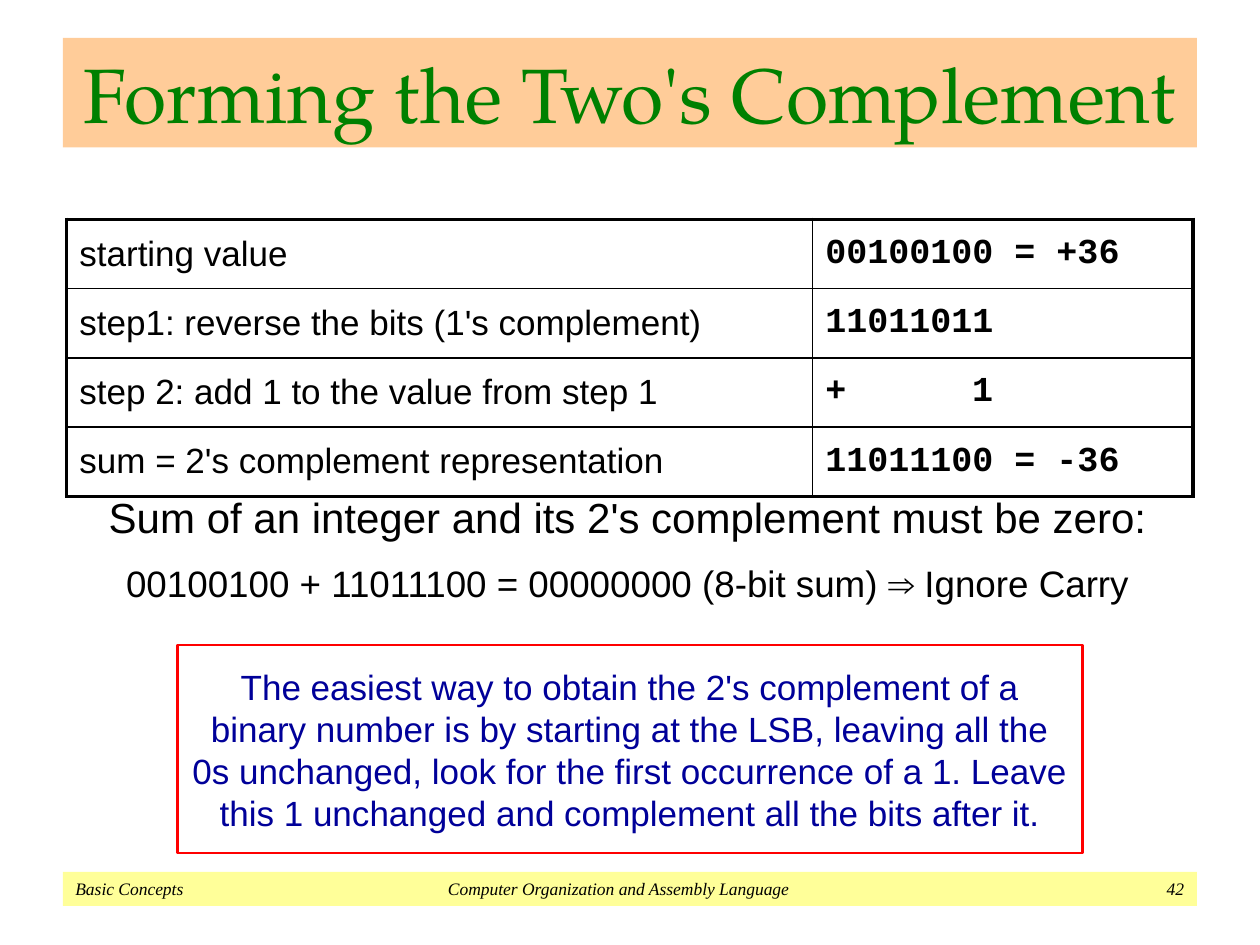
from dataclasses import dataclass

import lxml.etree
import pptx
import pptx.dml.color
import pptx.enum.shapes
import pptx.enum.text
import pptx.oxml.ns
import pptx.util

COLUMNS, ROWS = 100, 75
SLIDE_WIDTH, SLIDE_HEIGHT = pptx.util.Inches(10), pptx.util.Inches(7.5)
BLACK = "000000"
ALIGN = pptx.enum.text.PP_ALIGN
qn = pptx.oxml.ns.qn


@dataclass
class Area:
    column: float
    row: float
    columns: float
    rows: float

    def box(self) -> tuple[int, int, int, int]:
        return (across(self.column), down(self.row), across(self.columns), down(self.rows))


@dataclass
class Line:
    text: str
    size: float
    font: str = "Arial"
    color: str = BLACK
    align: ALIGN = ALIGN.CENTER
    bold: bool = False
    italic: bool = False
    space_before: float = 0
    tabs: tuple[tuple[float, str], ...] = ()


@dataclass
class Panel:
    area: Area
    lines: list[Line]
    fill: str | None = None
    outline: str | None = None
    inset: float = 0.5
    anchor: pptx.enum.text.MSO_ANCHOR = pptx.enum.text.MSO_ANCHOR.MIDDLE


@dataclass
class Step:
    label: str
    value: str


def across(columns: float) -> int:
    return round(SLIDE_WIDTH * columns / COLUMNS)


def down(rows: float) -> int:
    return round(SLIDE_HEIGHT * rows / ROWS)


def rgb(value: str) -> pptx.dml.color.RGBColor:
    return pptx.dml.color.RGBColor.from_string(value)


def write_line(paragraph, line: Line) -> None:
    paragraph.text = line.text
    paragraph.alignment = line.align
    if line.space_before:
        paragraph.space_before = pptx.util.Pt(line.space_before)
    if line.tabs:
        properties = paragraph._p.get_or_add_pPr()
        tab_list = lxml.etree.SubElement(properties, qn("a:tabLst"))
        for column, align in line.tabs:
            lxml.etree.SubElement(tab_list, qn("a:tab"), pos=str(across(column)), algn=align)
    font = paragraph.font
    font.name = line.font
    font.size = pptx.util.Pt(line.size)
    font.bold = line.bold
    font.italic = line.italic
    font.color.rgb = rgb(line.color)


def draw_panel(slide, panel: Panel) -> None:
    if panel.fill or panel.outline:
        rectangle = pptx.enum.shapes.MSO_SHAPE.RECTANGLE
        shape = slide.shapes.add_shape(rectangle, *panel.area.box())
        shape.shadow.inherit = False
        if panel.fill:
            shape.fill.solid()
            shape.fill.fore_color.rgb = rgb(panel.fill)
        else:
            shape.fill.background()
        if panel.outline:
            shape.line.color.rgb = rgb(panel.outline)
            shape.line.width = pptx.util.Pt(1.5)
        else:
            shape.line.fill.background()
    else:
        shape = slide.shapes.add_textbox(*panel.area.box())
    frame = shape.text_frame
    frame.word_wrap = True
    frame.vertical_anchor = panel.anchor
    frame.margin_left = frame.margin_right = across(1)
    frame.margin_top = frame.margin_bottom = down(panel.inset)
    for index, line in enumerate(panel.lines):
        write_line(frame.add_paragraph() if index else frame.paragraphs[0], line)


def draw_borders(cell, widths: dict[str, float]) -> None:
    properties = cell._tc.get_or_add_tcPr()
    for index, (side, width) in enumerate(widths.items()):
        border = lxml.etree.Element(qn(f"a:{side}"), w=str(pptx.util.Pt(width)))
        fill = lxml.etree.SubElement(border, qn("a:solidFill"))
        lxml.etree.SubElement(fill, qn("a:srgbClr"), val=BLACK)
        properties.insert(index, border)


def draw_steps(slide, area: Area, label_columns: float, steps: list[Step]) -> None:
    table = slide.shapes.add_table(len(steps), 2, *area.box()).table
    table.first_row = table.horz_banding = False
    table.columns[0].width = across(label_columns)
    table.columns[1].width = across(area.columns - label_columns)
    thick, thin = 2.25, 1
    for row, step in enumerate(steps):
        table.rows[row].height = down(area.rows / len(steps))
        lines = (
            Line(step.label, 20, align=ALIGN.LEFT),
            Line(step.value, 20, "Courier New", align=ALIGN.LEFT, bold=True,
                 tabs=((13.33, "r"),) if "\t" in step.value else ()),
        )
        for column, line in enumerate(lines):
            cell = table.cell(row, column)
            cell.fill.background()
            cell.vertical_anchor = pptx.enum.text.MSO_ANCHOR.MIDDLE
            write_line(cell.text_frame.paragraphs[0], line)
            draw_borders(cell, {
                "lnL": thick if column == 0 else thin,
                "lnR": thick if column == 1 else thin,
                "lnT": thick if row == 0 else thin,
                "lnB": thick if row == len(steps) - 1 else thin,
            })


FOOTER = Panel(Area(5, 69.2, 90, 2.7), [
    Line("Basic Concepts\tComputer Organization and Assembly Language\t42", 10,
         "Times New Roman", align=ALIGN.LEFT, italic=True, tabs=((43.1, "ctr"), (88, "r")))
], fill="FFFF99")
TITLE = Panel(Area(5, 3, 90, 8.7), [
    Line("Forming the Two's Complement", 44, "TeX Gyre Pagella", "008000")
], fill="FFCC99")
CHECK = Panel(Area(6.7, 37.5, 86.2, 12.2), [
    Line("Sum of an integer and its 2's complement must be zero:", 24),
    Line("00100100 + 11011100 = 00000000 (8-bit sum) ⇒ Ignore Carry", 21, space_before=11),
], inset=1.5, anchor=pptx.enum.text.MSO_ANCHOR.TOP)
SHORTCUT = Panel(Area(14.1, 51.2, 71.8, 16.5), [
    Line("The easiest way to obtain the 2's complement of a binary number is by starting "
         "at the LSB, leaving all the 0s unchanged, look for the first occurrence of a 1. "
         "Leave this 1 unchanged and complement all the bits after it.", 20, color="000099")
], outline="FF0000", inset=1.5)
STEPS = [
    Step("starting value", "00100100 = +36"),
    Step("step1: reverse the bits (1's complement)", "11011011"),
    Step("step 2: add 1 to the value from step 1", "+\t1"),
    Step("sum = 2's complement representation", "11011100 = -36"),
]


def main() -> None:
    presentation = pptx.Presentation()
    presentation.slide_width, presentation.slide_height = SLIDE_WIDTH, SLIDE_HEIGHT
    slide = presentation.slides.add_slide(presentation.slide_layouts[6])
    for panel in (FOOTER, TITLE, CHECK, SHORTCUT):
        draw_panel(slide, panel)
    draw_steps(slide, Area(5.3, 17.4, 89.4, 22), 59.2, STEPS)
    presentation.save("out.pptx")


if __name__ == "__main__":
    main()
